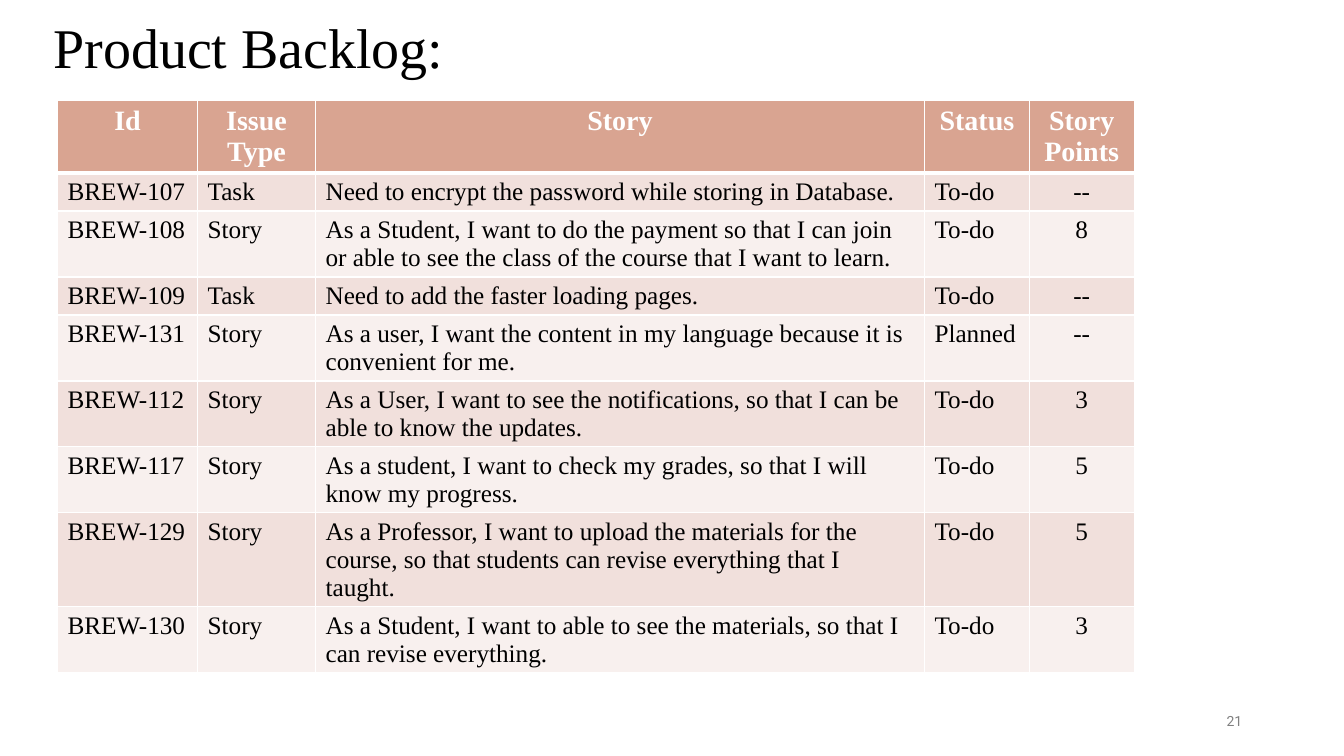
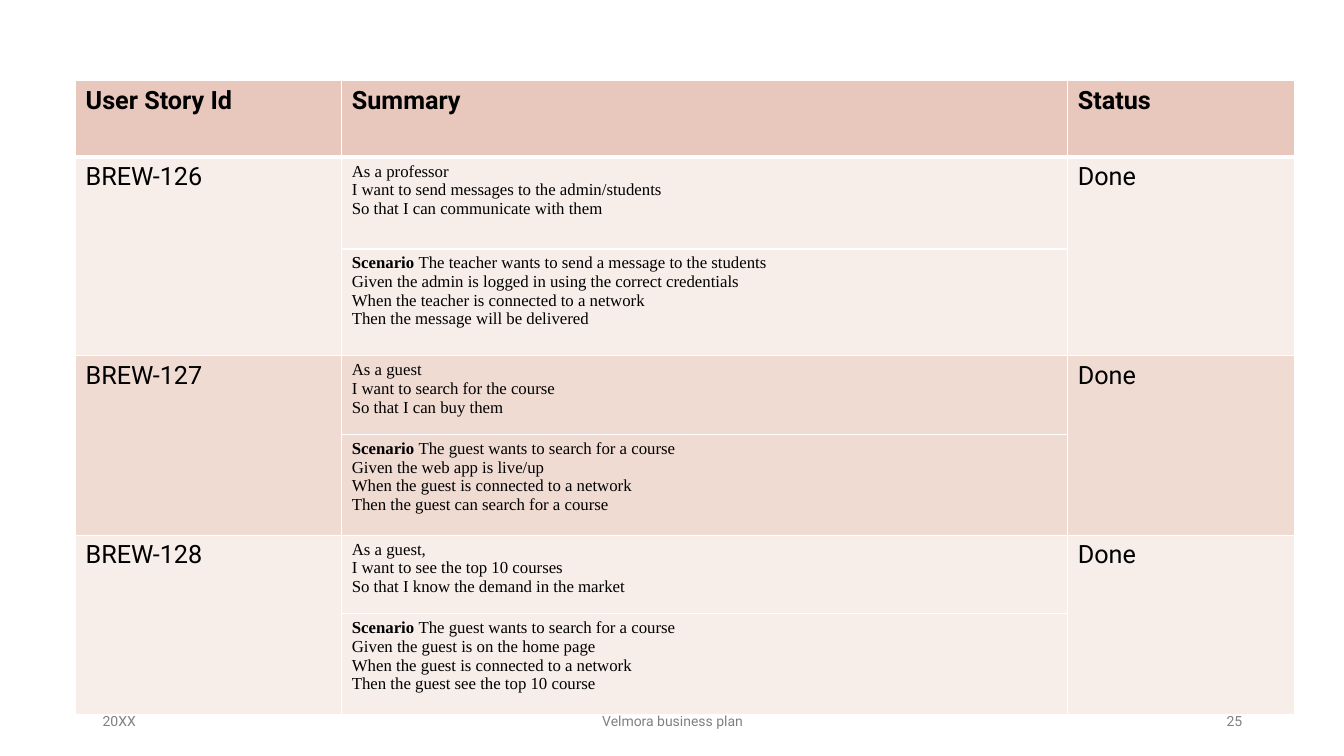
"""Build the product backlog and completed user story slides."""
import lxml.etree
import pptx
import pptx.dml.color
import pptx.enum.text
import pptx.oxml.ns
import pptx.util

Inches = pptx.util.Inches
Pt = pptx.util.Pt
PP_ALIGN = pptx.enum.text.PP_ALIGN
ANCHOR = pptx.enum.text.MSO_ANCHOR
SERIF, SANS = "Times New Roman", "Roboto"
LEFT, CENTER, RIGHT = PP_ALIGN.LEFT, PP_ALIGN.CENTER, PP_ALIGN.RIGHT

COLORS = {
    "text": "000000", "white": "FFFFFF", "footer": "808080",
    "backlog_head": "D9A491", "backlog_odd": "F1E0DC", "backlog_even": "F8F0EE",
    "done_head": "E8C8BD", "done_odd": "F7EDE9", "done_even": "F0DBD3",
}
FOOTER_SLOTS = {
    "date": (0.92, 3, LEFT),
    "footer": (4.42, 4.5, CENTER),
    "number": (9.42, 3, RIGHT),
}

BACKLOG_TITLE = "Product Backlog:"
BACKLOG_HEAD = ["Id", "Issue Type", "Story", "Status", "Story Points"]
BACKLOG_COLS = [1.39, 1.17, 6.04, 1.04, 1.04]
BACKLOG = [
    ("BREW-107", "Task", "Need to encrypt the password while storing in Database.", "To-do", "--"),
    ("BREW-108", "Story", "As a Student, I want to do the payment so that I can join or able to see "
     "the class of the course that I want to learn.", "To-do", "8"),
    ("BREW-109", "Task", "Need to add the faster loading pages.", "To-do", "--"),
    ("BREW-131", "Story", "As a user, I want the content in my language because it is convenient "
     "for me.", "Planned", "--"),
    ("BREW-112", "Story", "As a User, I want to see the notifications, so that I can be able to know "
     "the updates.", "To-do", "3"),
    ("BREW-117", "Story", "As a student, I want to check my grades, so that I will know my "
     "progress.", "To-do", "5"),
    ("BREW-129", "Story", "As a Professor, I want to upload the materials for the course, so that "
     "students can revise everything that I taught.", "To-do", "5"),
    ("BREW-130", "Story", "As a Student, I want to able to see the materials, so that I can revise "
     "everything.", "To-do", "3"),
]
BACKLOG_ROWS = [0.7] + [0.36] * len(BACKLOG)

DONE_HEAD = ["User Story Id", "Summary", "Status"]
DONE_COLS = [2.64, 7.2, 2.25]
DONE_ROWS = [0.76, 0.91, 1.06, 0.78, 1, 0.78, 1]
DONE = [
    ("BREW-126",
     ["As a professor", "I want to send messages to the admin/students",
      "So that I can communicate with them"],
     ["The teacher wants to send a message to the students",
      "Given the admin is logged in using the correct credentials",
      "When the teacher is connected to a network", "Then the message will be delivered"],
     "Done"),
    ("BREW-127",
     ["As a guest", "I want to search for the course", "So that I can buy them"],
     ["The guest wants to search for a course", "Given the web app is live/up",
      "When the guest is connected to a network", "Then the guest can search for a course"],
     "Done"),
    ("BREW-128",
     ["As a guest,", "I want to see the top 10 courses", "So that I know the demand in the market"],
     ["The guest wants to search for a course", "Given the guest is on the home page",
      "When the guest is connected to a network", "Then the guest see the top 10 course"],
     "Done"),
]


def rgb(name):
    return pptx.dml.color.RGBColor.from_string(COLORS[name])


def write(tf, text, font=SERIF, size=18, color="text", bold=False, align=LEFT, lead="", spacing=None):
    lines = [text] if isinstance(text, str) else text
    for i, line in enumerate(lines):
        p = tf.paragraphs[0] if i == 0 else tf.add_paragraph()
        p.alignment = align
        if spacing:
            p.line_spacing = spacing
        parts = [(line, bold)]
        if lead and i == 0:
            parts.insert(0, (lead, True))
        for part, heavy in parts:
            r = p.add_run()
            r.text = part
            r.font.name, r.font.size, r.font.bold = font, Pt(size), heavy
            r.font.color.rgb = rgb(color)


def add_borders(cell, row):
    tc_pr = cell._tc.get_or_add_tcPr()
    widths = {"lnL": 1, "lnR": 1, "lnT": 3 if row == 1 else 1, "lnB": 3 if row == 0 else 1}
    for tag, width in widths.items():
        ln = lxml.etree.SubElement(tc_pr, pptx.oxml.ns.qn(f"a:{tag}"), w=str(Pt(width)))
        fill = lxml.etree.SubElement(ln, pptx.oxml.ns.qn("a:solidFill"))
        lxml.etree.SubElement(fill, pptx.oxml.ns.qn("a:srgbClr"), val=COLORS["white"])


def add_grid(s, left, top, cols, rows, fills):
    shape = s.shapes.add_table(len(rows), len(cols), Inches(left), Inches(top),
                               Inches(sum(cols)), Inches(sum(rows)))
    table = shape.table
    table.horz_banding = False
    for column, width in zip(table.columns, cols):
        column.width = Inches(width)
    for i, height in enumerate(rows):
        table.rows[i].height = Inches(height)
        for cell in table.rows[i].cells:
            add_borders(cell, i)
            cell.fill.solid()
            cell.fill.fore_color.rgb = rgb(fills[i])
    return table


def add_footer(s, **texts):
    for slot, text in texts.items():
        left, width, align = FOOTER_SLOTS[slot]
        tf = s.shapes.add_textbox(Inches(left), Inches(6.95), Inches(width), Inches(0.4)).text_frame
        tf.word_wrap = True
        tf.vertical_anchor = ANCHOR.MIDDLE
        write(tf, text, font=SANS, size=10, color="footer", align=align)


def build_backlog(prs):
    s = prs.slides.add_slide(prs.slide_layouts[5])
    title = s.shapes.title
    title.left, title.top, title.width, title.height = map(Inches, (0.43, 0.15, 11.5, 0.7))
    tf = title.text_frame
    tf.auto_size = pptx.enum.text.MSO_AUTO_SIZE.NONE
    tf.vertical_anchor = ANCHOR.MIDDLE
    write(tf, BACKLOG_TITLE, size=40, spacing=0.9)

    bands = ["backlog_odd" if i % 2 == 0 else "backlog_even" for i in range(len(BACKLOG))]
    table = add_grid(s, 0.57, 1, BACKLOG_COLS, BACKLOG_ROWS, ["backlog_head"] + bands)
    for j, text in enumerate(BACKLOG_HEAD):
        write(table.cell(0, j).text_frame, text, size=20, color="white", bold=True, align=CENTER)
    for i, story in enumerate(BACKLOG, 1):
        for j, text in enumerate(story):
            align = CENTER if j == len(story) - 1 else LEFT
            write(table.cell(i, j).text_frame, text, align=align)
    add_footer(s, number="21")


def build_done(prs):
    s = prs.slides.add_slide(prs.slide_layouts[6])
    add_footer(s, date="20XX", footer="Velmora business plan", number="25")
    bands = ["done_odd" if i // 2 % 2 == 0 else "done_even" for i in range(2 * len(DONE))]
    table = add_grid(s, 0.75, 0.8, DONE_COLS, DONE_ROWS, ["done_head"] + bands)
    for j, text in enumerate(DONE_HEAD):
        write(table.cell(0, j).text_frame, text, font=SANS, bold=True)
    for i, (key, story, scenario, status) in enumerate(DONE):
        row = 1 + 2 * i
        for j, text in ((0, key), (2, status)):
            table.cell(row, j).merge(table.cell(row + 1, j))
            write(table.cell(row, j).text_frame, text, font=SANS)
        write(table.cell(row, 1).text_frame, story, size=12)
        write(table.cell(row + 1, 1).text_frame, scenario, size=12, lead="Scenario ")


def main():
    prs = pptx.Presentation()
    prs.slide_width, prs.slide_height = Inches(13.33), Inches(7.5)
    build_backlog(prs)
    build_done(prs)
    prs.save("out.pptx")


if __name__ == "__main__":
    main()
